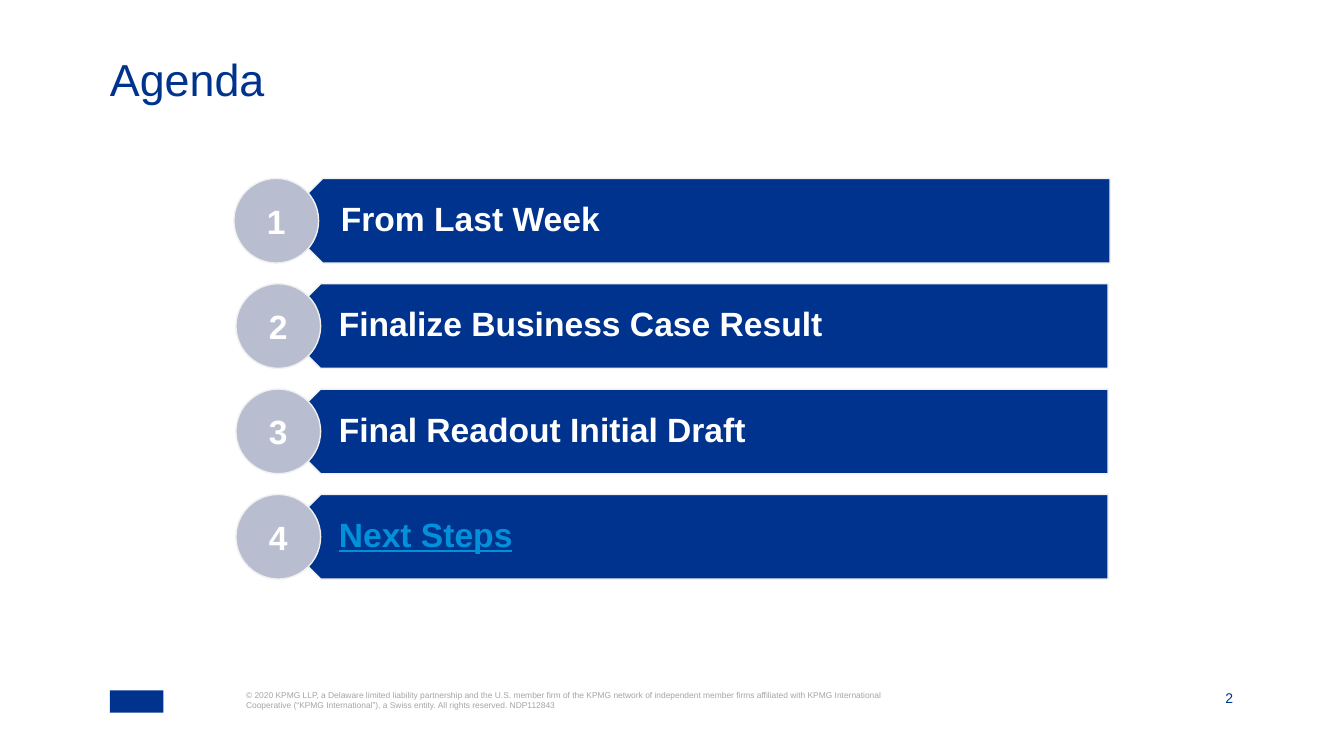
from pptx import Presentation
from pptx.dml.color import RGBColor
from pptx.enum.shapes import MSO_SHAPE as SHAPE
from pptx.enum.text import MSO_ANCHOR as ANCHOR, PP_ALIGN as ALIGN
from pptx.util import Inches, Pt

COLORS = {"navy": "00338D", "disc": "B9BDD0", "edge": "F0F0F0",
          "white": "FFFFFF", "link": "0091DA", "grey": "A5A5A5"}


def write(shape, text, size, color, bold=False, align=ALIGN.LEFT,
          anchor=ANCHOR.TOP, margins=(0, 0, 0, 0), spacing=1.0):
    """Put one formatted paragraph in shape; margins are left, top, right, bottom."""
    frame = shape.text_frame
    frame.word_wrap = True
    frame.vertical_anchor = anchor
    (frame.margin_left, frame.margin_top,
     frame.margin_right, frame.margin_bottom) = map(Inches, margins)
    paragraph = frame.paragraphs[0]
    paragraph.text = text
    paragraph.alignment = align
    paragraph.line_spacing = spacing
    font = paragraph.font
    font.name, font.size, font.bold = "Arial", Pt(size), bold
    font.color.rgb = RGBColor.from_string(COLORS[color])
    return paragraph


def add_filled(kind, left, top, width, height, fill, edge=None):
    shape = slide.shapes.add_shape(kind, *map(Inches, (left, top, width, height)))
    shape.shadow.inherit = False
    shape.fill.solid()
    shape.fill.fore_color.rgb = RGBColor.from_string(COLORS[fill])
    if edge:
        shape.line.color.rgb = RGBColor.from_string(COLORS[edge])
        shape.line.width = Pt(1)
    else:
        shape.line.fill.background()
    return shape


prs = Presentation()
prs.slide_width, prs.slide_height = Inches(13.33), Inches(7.5)
slide = prs.slides.add_slide(prs.slide_layouts[5])

# Title
title = slide.shapes.title
title.left, title.top = Inches(1.09), Inches(0.57)
title.width, title.height = Inches(11.15), Inches(0.58)
write(title, "Agenda", 32, "navy", spacing=0.9)

# Footer
add_filled(SHAPE.RECTANGLE, 1.09, 6.85, 0.53, 0.22, "navy")
copyright_line = slide.shapes.add_textbox(
    Inches(2.44), Inches(6.85), Inches(6.39), Inches(0.41))
write(copyright_line,
      "© 2020 KPMG LLP, a Delaware limited liability partnership and the U.S. "
      "member firm of the KPMG network of independent member firms affiliated "
      "with KPMG International Cooperative (“KPMG International”), a Swiss "
      "entity. All rights reserved. NDP112843", 6, "grey")
page_number = slide.shapes.add_textbox(
    Inches(11.74), Inches(6.85), Inches(0.49), Inches(0.16))
write(page_number, "2", 10, "navy", align=ALIGN.RIGHT, anchor=ANCHOR.BOTTOM)

# Agenda rows: the first sits slightly wider than the rest
ROW_TOP, ROW_STEP, ROW_HEIGHT = 1.77, 1.045, 0.84
agenda = [
    ("From Last Week", 2.78, 2.32, "white"),
    ("Finalize Business Case Result", 2.76, 2.34, "white"),
    ("Final Readout Initial Draft", 2.76, 2.34, "white"),
    ("Next Steps", 2.76, 2.34, "link"),
]
for index, (topic, bar_left, disc_left, color) in enumerate(agenda):
    top = ROW_TOP + index * ROW_STEP
    bar = add_filled(SHAPE.PENTAGON, bar_left, top, 8.23, ROW_HEIGHT, "navy", "edge")
    bar.rotation = 180

    label = slide.shapes.add_textbox(
        Inches(bar_left + 0.21), Inches(top), Inches(8.02), Inches(ROW_HEIGHT))
    topic_line = write(label, topic, 24, color, bold=True, anchor=ANCHOR.MIDDLE,
                       margins=(0.39, 0.1, 0.19, 0.1), spacing=0.9)
    if color == "link":
        topic_line.font.underline = True

    disc = add_filled(SHAPE.OVAL, disc_left, top, ROW_HEIGHT, ROW_HEIGHT, "disc", "edge")
    write(disc, str(index + 1), 24, "white", bold=True, align=ALIGN.CENTER,
          anchor=ANCHOR.MIDDLE, margins=(0.1, 0.1, 0.1, 0.1))

prs.save("out.pptx")
